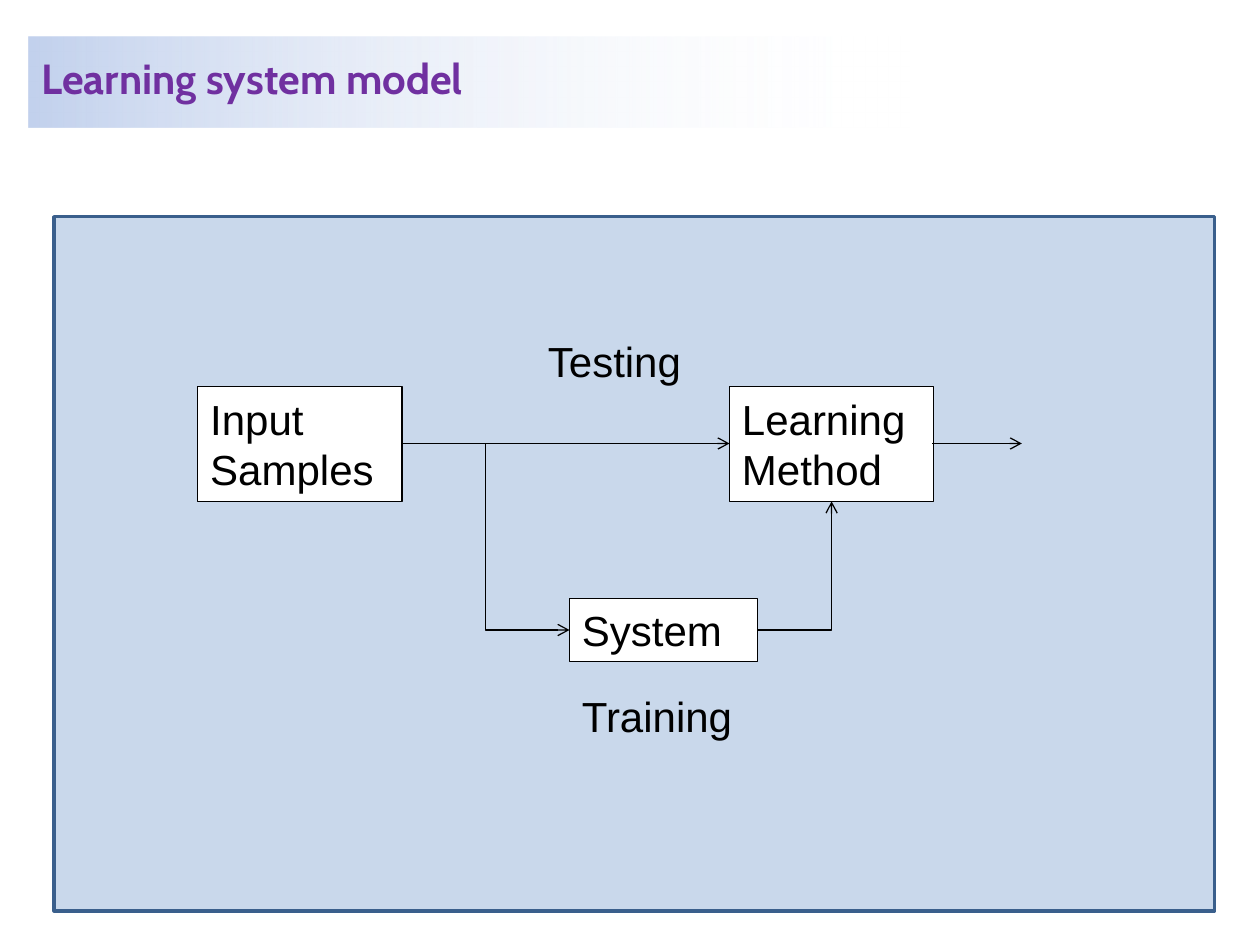
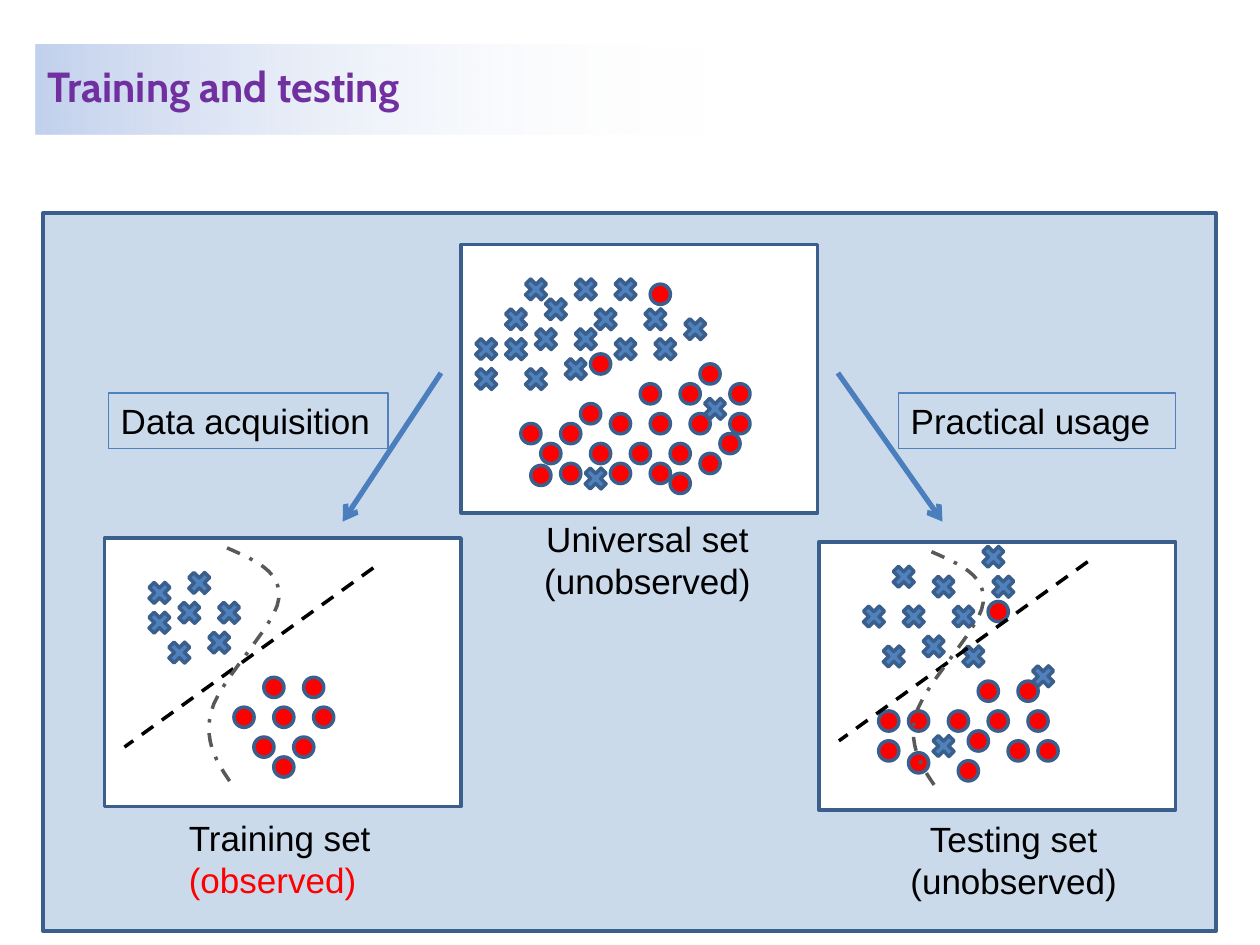
"""Build two slides on learning systems: a block diagram and a data-set diagram."""
import lxml.etree
import pptx
import pptx.dml.color
import pptx.enum.dml
import pptx.enum.shapes
import pptx.enum.text
import pptx.oxml.ns
import pptx.util

COLUMNS, ROWS = 100, 75
MARKER_STEP = 0.79
PANEL_SIZE = (28.3, 21.3)

BLACK, WHITE, RED, GREY = "000000", "FFFFFF", "FF0000", "595959"
PURPLE, BLUE, NAVY, ARROW_BLUE, BAND_BLUE = "7030A0", "4F81BD", "3A5F8C", "4B7EBC", "C2D1ED"

SHAPES = pptx.enum.shapes.MSO_SHAPE
CONNECTORS = pptx.enum.shapes.MSO_CONNECTOR
DASHES = pptx.enum.dml.MSO_LINE
ALIGN = pptx.enum.text.PP_ALIGN

BOUNDARY_START = (0, 1)
BOUNDARY_CURVES = [
    [(2.7, 2.2), (5.5, 3.3), (5.2, 6.1)],
    [(5, 8.7), (-0.9, 14.4), (-1.6, 17.5)],
    [(-2.4, 20.7), (-0.8, 22.9), (0.8, 25.2)],
]

UNIVERSAL_CROSSES = [
    (6, 3), (11, 3), (15, 3), (8, 5), (4, 6), (13, 6), (18, 6), (22, 7), (7, 8), (11, 8),
    (1, 9), (4, 9), (15, 9), (19, 9), (10, 11), (1, 12), (6, 12), (24, 15), (12, 22)]
UNIVERSAL_DOTS = [
    (19, 4), (13, 11), (24, 12), (18, 14), (22, 14), (27, 14), (12, 16), (15, 17),
    (19, 17), (23, 17), (27, 17), (6, 18), (10, 18), (26, 19), (8, 20), (13, 20),
    (17, 20), (21, 20), (24, 21), (7, 22.2), (10, 22), (15, 22), (19, 22), (21, 23)]
TRAINING_CROSSES = [(8, 3), (4, 4), (7, 6), (11, 6), (4, 7), (10, 9), (6, 10)]
TRAINING_DOTS = [(16, 14), (20, 14), (13, 17), (17, 17), (21, 17), (15, 20), (19, 20), (17, 22)]
TESTING_CROSSES = [
    (16, 0), (7, 2), (11, 3), (17, 3), (4, 6), (8, 6), (13, 6), (10, 9), (6, 10), (14, 10),
    (21, 12), (11, 19)]
TESTING_DOTS = [
    (17, 6), (16, 14), (20, 14), (6, 17), (9, 17), (13, 17), (17, 17), (21, 17), (15, 19),
    (6, 20), (19, 20), (22, 20), (9, 21.2), (14, 22)]


def color(hex_string):
    """Return the colour for a hex string."""
    return pptx.dml.color.RGBColor.from_string(hex_string)


def add_element(parent, tag, **attributes):
    """Append a drawing element with the given attributes."""
    return lxml.etree.SubElement(parent, pptx.oxml.ns.qn(tag), attributes)


def bezier(start, first, second, end, steps=12):
    """Return points along a cubic curve, without its start."""
    points = []
    for step in range(1, steps + 1):
        t = step / steps
        weights = ((1 - t) ** 3, 3 * t * (1 - t) ** 2, 3 * t ** 2 * (1 - t), t ** 3)
        points.append(tuple(
            sum(weight * value for weight, value in zip(weights, values))
            for values in zip(start, first, second, end)))
    return points


class Deck:
    """Hold the style and the current slide of the presentation."""

    def __init__(self):
        """Open an empty presentation and set its size."""
        self.presentation = pptx.Presentation()
        self.presentation.slide_width = pptx.util.Inches(10)
        self.presentation.slide_height = pptx.util.Inches(7.5)
        self.slide = None

    def x(self, columns):
        """Convert columns to a length."""
        return pptx.util.Emu(round(self.presentation.slide_width * columns / COLUMNS))

    def y(self, rows):
        """Convert rows to a length."""
        return pptx.util.Emu(round(self.presentation.slide_height * rows / ROWS))

    def frame(self, left, top, width, height):
        """Convert a grid rectangle to lengths."""
        return self.x(left), self.y(top), self.x(width), self.y(height)

    def font(self, run, size, hex_string=BLACK, name="Arial", bold=False):
        """Format one run."""
        run.font.size = pptx.util.Pt(size)
        run.font.name = name
        run.font.bold = bold
        run.font.color.rgb = color(hex_string)

    def outline(self, line, hex_string, width, dash=None):
        """Format a line or an outline."""
        line.color.rgb = color(hex_string)
        line.width = pptx.util.Pt(width)
        if dash:
            line.dash_style = dash

    def new_slide(self, title, left, top, width):
        """Add a slide with a title on a fading band."""
        self.slide = self.presentation.slides.add_slide(self.presentation.slide_layouts[5])
        shape = self.slide.shapes.title
        shape.left, shape.top, shape.width, shape.height = self.frame(left, top, width, 7.2)
        gradient = add_element(shape._element.spPr, "a:gradFill", rotWithShape="1")
        stops = add_element(gradient, "a:gsLst")
        for position, hex_string, alpha in (("0", BAND_BLUE, "100000"), ("70000", WHITE, "0")):
            stop = add_element(stops, "a:gs", pos=position)
            add_element(add_element(stop, "a:srgbClr", val=hex_string), "a:alpha", val=alpha)
        add_element(gradient, "a:lin", ang="0", scaled="0")
        text_frame = shape.text_frame
        text_frame.text = title
        text_frame.auto_size = pptx.enum.text.MSO_AUTO_SIZE.NONE
        text_frame.vertical_anchor = pptx.enum.text.MSO_ANCHOR.MIDDLE
        paragraph = text_frame.paragraphs[0]
        paragraph.alignment = ALIGN.LEFT
        paragraph.line_spacing = 0.85
        self.font(paragraph.runs[0], 24, PURPLE, "Cabin", True)

    def shape(self, kind, frame, fill, line=NAVY, width=2):
        """Add a preset shape, unfilled when fill is None."""
        shape = self.slide.shapes.add_shape(kind, *self.frame(*frame))
        shape.shadow.inherit = False
        if fill:
            shape.fill.solid()
            shape.fill.fore_color.rgb = color(fill)
        else:
            shape.fill.background()
        self.outline(shape.line, line, width)
        return shape

    def backdrop(self, frame, opacity):
        """Add the translucent blue area behind a diagram."""
        shape = self.shape(SHAPES.RECTANGLE, frame, BLUE)
        solid = shape._element.spPr.find(pptx.oxml.ns.qn("a:solidFill"))
        add_element(solid[0], "a:alpha", val=str(opacity * 1000))

    def set_text(self, shape, text, size, alignment=ALIGN.LEFT):
        """Put wrapped text at the top of a shape."""
        text_frame = shape.text_frame
        text_frame.text = text
        text_frame.word_wrap = True
        text_frame.vertical_anchor = pptx.enum.text.MSO_ANCHOR.TOP
        for paragraph in text_frame.paragraphs:
            paragraph.alignment = alignment
            for run in paragraph.runs:
                self.font(run, size)

    def box(self, text, frame, size=24, fill=WHITE, line=BLACK):
        """Add a thinly outlined box with text."""
        self.set_text(self.shape(SHAPES.RECTANGLE, frame, fill, line, 0.75), text, size)

    def label(self, text, frame, size=24, alignment=ALIGN.LEFT):
        """Add a text box."""
        shape = self.slide.shapes.add_textbox(*self.frame(*frame))
        self.set_text(shape, text, size, alignment)
        return shape

    def connector(self, start, end, hex_string=BLACK, width=0.75, dash=None, arrow=True,
                  kind=CONNECTORS.STRAIGHT):
        """Add a line between two grid points."""
        connector = self.slide.shapes.add_connector(
            kind, self.x(start[0]), self.y(start[1]), self.x(end[0]), self.y(end[1]))
        self.outline(connector.line, hex_string, width, dash)
        properties = connector._element.spPr
        if arrow:
            add_element(properties.get_or_add_ln(), "a:tailEnd", type="arrow")
        add_element(properties, "a:effectLst")
        return connector

    def corner(self, start, end):
        """Add an arrow that turns once, first across and then up or down."""
        connector = self.connector(start, end, kind=CONNECTORS.ELBOW)
        connector._element.spPr.find(pptx.oxml.ns.qn("a:prstGeom")).set("prst", "bentConnector2")

    def in_panel(self, panel, point):
        """Convert a marker position in a panel to a grid point."""
        return tuple(origin + MARKER_STEP * offset for origin, offset in zip(panel, point))

    def data_panel(self, panel, crosses, dots):
        """Add a white panel with the markers of a data set."""
        self.shape(SHAPES.FLOWCHART_PROCESS, (*panel, *PANEL_SIZE), WHITE)
        for kind, points, size, fill in (
                (SHAPES.FLOWCHART_CONNECTOR, dots, 1.6, RED),
                (SHAPES.MATH_MULTIPLY, crosses, 2.4, BLUE)):
            for point in points:
                self.shape(kind, (*self.in_panel(panel, point), size, size), fill)

    def boundaries(self, panel, curve_column, divider_row):
        """Add the straight and the curved class boundary of a panel."""
        self.connector(
            self.in_panel(panel, (27, divider_row)), self.in_panel(panel, (2, divider_row + 18)),
            width=2, dash=DASHES.DASH, arrow=False)
        points = [BOUNDARY_START]
        for controls in BOUNDARY_CURVES:
            points += bezier(points[-1], *controls)
        grid_points = [self.in_panel(panel, (curve_column + x, y)) for x, y in points]
        lengths = [(self.x(x), self.y(y)) for x, y in grid_points]
        builder = self.slide.shapes.build_freeform(*lengths[0])
        builder.add_line_segments(lengths[1:], close=False)
        curve = builder.convert_to_shape()
        curve.shadow.inherit = False
        curve.fill.background()
        self.outline(curve.line, GREY, 2, DASHES.DASH_DOT)


def build_system_model(deck):
    """Build the block diagram of the learning system."""
    deck.new_slide("Learning system model", 2.3, 2.9, 100)
    deck.backdrop((4.3, 17.2, 92.1, 55.1), 30)
    deck.box("Input Samples", (15.7, 30.7, 16.2, 9.1))
    deck.box("Learning Method", (57.9, 30.7, 16.2, 9.1))
    deck.box("System", (45.2, 47.5, 14.9, 5))
    deck.connector((31.9, 35.2), (45.2, 50), kind=CONNECTORS.ELBOW)
    deck.connector((37.4, 35.2), (57.9, 35.2))
    deck.connector((74, 35.2), (81.1, 35.2))
    deck.corner((60.1, 50), (66, 39.8))
    deck.label("Training", (45.2, 54.3, 14.1, 5))
    deck.label("Testing", (42.5, 26.1, 14.1, 5))


def build_training_and_testing(deck):
    """Build the diagram of the universal, training and testing sets."""
    universal, training, testing = (36.6, 19.4), (8.3, 42.7), (65, 43)
    deck.new_slide("Training and testing", 2.8, 3.5, 76)
    deck.backdrop((3.4, 16.9, 93.1, 57), 29)
    deck.data_panel(testing, TESTING_CROSSES, TESTING_DOTS)
    deck.data_panel(universal, UNIVERSAL_CROSSES, UNIVERSAL_DOTS)
    deck.data_panel(training, TRAINING_CROSSES, TRAINING_DOTS)
    deck.boundaries(training, 12.3, 3)
    deck.boundaries(testing, 11.3, 2)
    observed = deck.label("Training set ", (14, 64.3, 19.9, 7.7), 20)
    run = observed.text_frame.paragraphs[0].add_run()
    run.text = "(observed)"
    deck.font(run, 20, RED)
    deck.label("Universal set\n(unobserved)", (42.1, 40.6, 18.6, 7.7), 20, ALIGN.CENTER)
    deck.label("Testing set\n(unobserved)", (70.7, 64.4, 19.5, 7.7), 20, ALIGN.CENTER)
    deck.connector((35, 29.6), (27.2, 41.4), ARROW_BLUE, 3)
    deck.connector((66.5, 29.6), (74.8, 41.4), ARROW_BLUE, 3)
    deck.box("Data acquisition", (8.6, 31.2, 22.2, 4.4), 20, None, BLUE)
    deck.box("Practical usage", (71.3, 31.2, 22, 4.4), 20, None, BLUE)


def main():
    """Build both slides and save the presentation."""
    deck = Deck()
    build_system_model(deck)
    build_training_and_testing(deck)
    deck.presentation.save("out.pptx")


if __name__ == "__main__":
    main()
